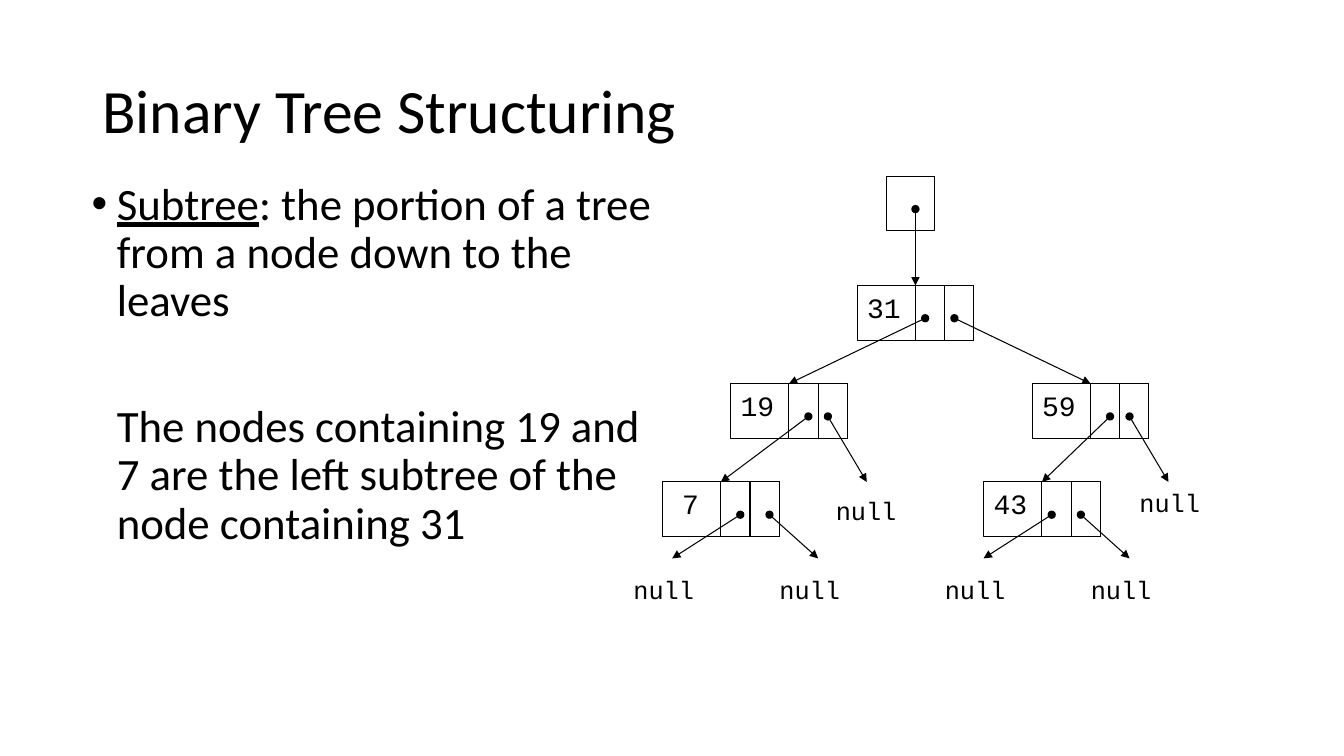
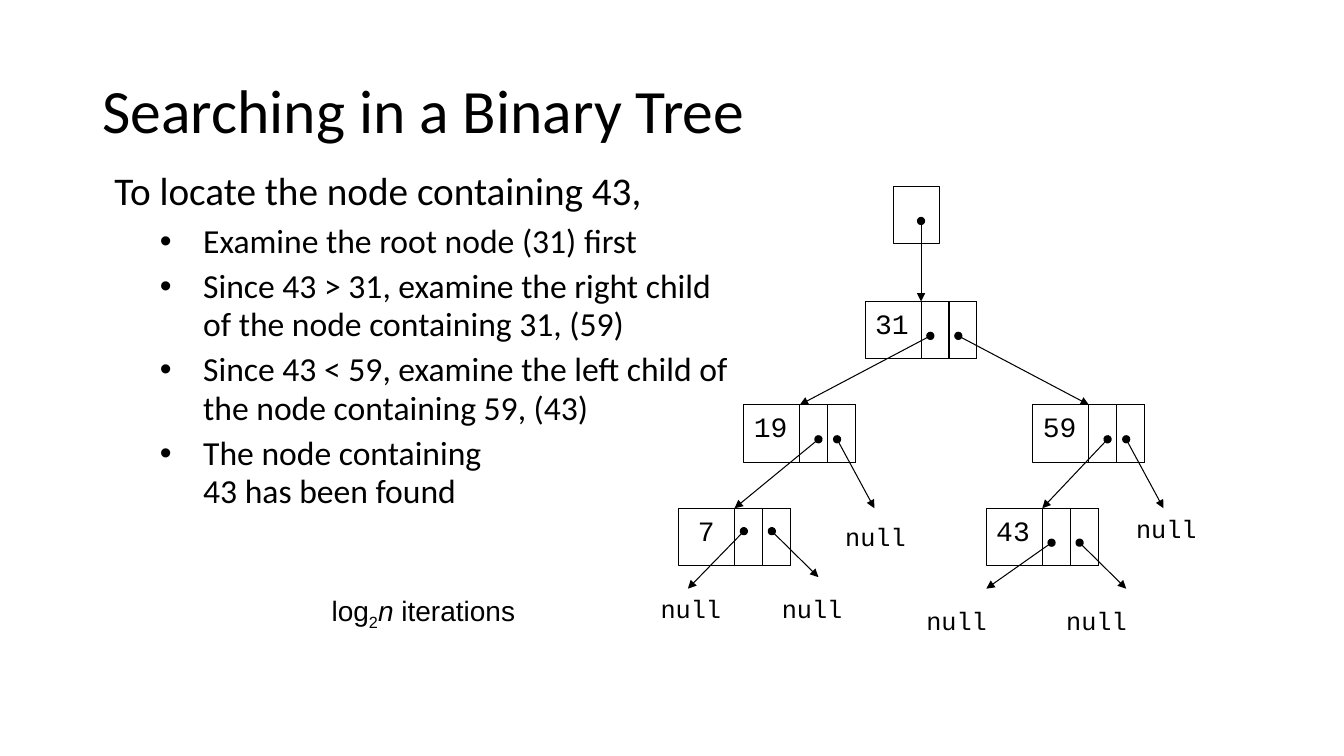
from dataclasses import dataclass
from typing import Optional

from lxml.etree import SubElement
from pptx import Presentation
from pptx.dml.color import RGBColor
from pptx.enum.shapes import MSO_CONNECTOR, MSO_SHAPE
from pptx.enum.text import MSO_ANCHOR
from pptx.oxml.ns import qn
from pptx.util import Inches, Pt

SLIDE_WIDTH, SLIDE_HEIGHT = Inches(13.33), Inches(7.5)
INK = "000000"
BODY_FONT, CODE_FONT, NOTE_FONT = "Calibri", "Courier New", "Arial"
LINE_WIDTH = Pt(0.75)

# Tree grid: a node is 12 columns wide and 5 rows high
GRID_COLUMNS, GRID_ROWS = 52, 35
NODE_COLUMNS, NODE_ROWS = 12, 5
POINTER_COLUMNS, ROOT_COLUMNS = 3, 5


@dataclass(frozen=True)
class Box:
    """A rectangle in percent of the slide's width and height."""
    left: float
    top: float
    width: float
    height: float

    def lengths(self) -> tuple[int, int, int, int]:
        return (int(SLIDE_WIDTH * self.left / 100), int(SLIDE_HEIGHT * self.top / 100),
                int(SLIDE_WIDTH * self.width / 100), int(SLIDE_HEIGHT * self.height / 100))


@dataclass(frozen=True)
class Run:
    text: str
    underline: bool = False
    italic: bool = False
    subscript: bool = False


@dataclass(frozen=True)
class Line:
    """A paragraph; indents are in inches, sizes and gaps in points."""
    runs: tuple[Run, ...]
    size: float
    font: str = BODY_FONT
    margin: float = 0
    hanging: float = 0
    spacing: float = 1
    before: float = 0
    bullet: bool = False


@dataclass(frozen=True)
class Label:
    text: str
    column: float
    row: float
    size: int = 18


@dataclass(frozen=True)
class Node:
    value: str
    column: int
    row: int


@dataclass(frozen=True)
class Arrow:
    """Grid positions of the dot and of the arrowhead."""
    from_column: int
    from_row: int
    to_column: int
    to_row: int


@dataclass(frozen=True)
class Page:
    title: str
    body: Box
    lines: tuple[Line, ...]
    tree: Box
    leaf_arrows: tuple[Arrow, ...]
    leaf_labels: tuple[Label, ...]
    note: Optional[Line] = None


TITLE_BOX = Box(6.88, 5.33, 86.25, 19.33)
NOTE_BOX = Box(23.93, 77.87, 15.98, 5.87)

# Parts of the tree that both slides show
NODES = (Node("31", 20, 10), Node("59", 38, 19), Node("19", 7, 19),
         Node("7", 0, 28), Node("43", 33, 28))
ROOT = Node("", 23, 0)
ARROWS = (
    Arrow(26, 3, 26, 10),
    Arrow(27, 13, 13, 19), Arrow(30, 13, 44, 19),
    Arrow(15, 22, 6, 28), Arrow(17, 22, 21, 28),
    Arrow(46, 22, 39, 28), Arrow(48, 22, 52, 28),
    Arrow(40, 31, 33, 35), Arrow(43, 31, 48, 35),
)
NULL_LABELS = (Label("null", 16.8, 28.75), Label("null", 48, 28))


def color(value: str) -> RGBColor:
    return RGBColor.from_string(value)


def write_line(paragraph, line: Line) -> None:
    properties = paragraph._p.get_or_add_pPr()
    properties.set("marL", str(Inches(line.margin)))
    properties.set("indent", str(-Inches(line.hanging)))
    if line.bullet:
        SubElement(properties, qn("a:buFont")).set("typeface", "Arial")
        SubElement(properties, qn("a:buChar")).set("char", "•")
    paragraph.line_spacing = line.spacing
    paragraph.space_before = Pt(line.before)
    for part in line.runs:
        for index, piece in enumerate(part.text.split("\n")):
            if index:
                paragraph.add_line_break()
            run = paragraph.add_run()
            run.text = piece
            font = run.font
            font.name, font.size = line.font, Pt(line.size)
            font.color.rgb = color(INK)
            font.underline, font.italic = part.underline, part.italic
            if part.subscript:
                run._r.get_or_add_rPr().set("baseline", "-25000")


def add_text(slide, lengths: tuple[int, int, int, int], *lines: Line,
             anchor: MSO_ANCHOR = MSO_ANCHOR.TOP) -> None:
    frame = slide.shapes.add_textbox(*lengths).text_frame
    frame.word_wrap = True
    frame.vertical_anchor = anchor
    for index, line in enumerate(lines):
        write_line(frame.add_paragraph() if index else frame.paragraphs[0], line)


@dataclass(frozen=True)
class Tree:
    """Draws on a grid laid over one area of a slide."""
    slide: object
    area: Box

    def place(self, column: float, row: float, columns: float = 0,
              rows: float = 0) -> tuple[int, int, int, int]:
        left, top, width, height = self.area.lengths()
        return (int(left + width * column / GRID_COLUMNS), int(top + height * row / GRID_ROWS),
                int(width * columns / GRID_COLUMNS), int(height * rows / GRID_ROWS))

    def add_cell(self, column: int, row: int, columns: int) -> None:
        shape = self.slide.shapes.add_shape(
            MSO_SHAPE.RECTANGLE, *self.place(column, row, columns, NODE_ROWS))
        shape.shadow.inherit = False
        shape.fill.background()
        shape.line.color.rgb = color(INK)
        shape.line.width = LINE_WIDTH

    def add_label(self, label: Label) -> None:
        add_text(self.slide, self.place(label.column, label.row, 9.6, NODE_ROWS),
                 Line((Run(label.text),), label.size, font=CODE_FONT))

    def add_node(self, node: Node) -> None:
        self.add_cell(node.column, node.row, NODE_COLUMNS)
        for pointer in (1, 2):
            offset = NODE_COLUMNS - pointer * POINTER_COLUMNS
            self.add_cell(node.column + offset, node.row, POINTER_COLUMNS)
        shift = 1 if len(node.value) == 1 else 0
        self.add_label(Label(node.value, node.column + shift, node.row, 20))

    def add_arrow(self, arrow: Arrow) -> None:
        start = self.place(arrow.from_column, arrow.from_row)[:2]
        end = self.place(arrow.to_column, arrow.to_row)[:2]
        connector = self.slide.shapes.add_connector(MSO_CONNECTOR.STRAIGHT, *start, *end)
        connector.line.color.rgb = color(INK)
        connector.line.width = LINE_WIDTH
        outline = connector.line._get_or_add_ln()
        SubElement(outline, qn("a:headEnd")).set("type", "oval")
        SubElement(outline, qn("a:tailEnd")).set("type", "triangle")
        SubElement(connector._element.spPr, qn("a:effectLst"))


def bullet_step(text: str, before: float = 5) -> Line:
    return Line((Run(text),), 24, margin=1, hanging=0.43, spacing=0.95,
                before=before, bullet=True)


def add_page(presentation, page: Page) -> None:
    slide = presentation.slides.add_slide(presentation.slide_layouts[6])
    # Title and text
    add_text(slide, TITLE_BOX.lengths(), Line((Run(page.title),), 44, spacing=0.9),
             anchor=MSO_ANCHOR.MIDDLE)
    add_text(slide, page.body.lengths(), *page.lines)
    # Tree
    tree = Tree(slide, page.tree)
    tree.add_cell(ROOT.column, ROOT.row, ROOT_COLUMNS)
    for node in NODES:
        tree.add_node(node)
    for arrow in ARROWS + page.leaf_arrows:
        tree.add_arrow(arrow)
    for label in NULL_LABELS + page.leaf_labels:
        tree.add_label(label)
    # Note below the text
    if page.note:
        add_text(slide, NOTE_BOX.lengths(), page.note)


PAGES = (
    Page(
        title="Binary Tree Structuring",
        body=Box(6.08, 23.33, 44.25, 60),
        lines=(
            Line((Run("Subtree", underline=True),
                  Run(": the portion of a tree from a node down to the leaves")),
                 32, margin=0.25, hanging=0.25, spacing=0.9, bullet=True),
            Line((Run("The nodes containing 19 and 7 are the left subtree "
                      "of the node containing 31"),),
                 32, margin=0.25, spacing=0.9, before=55),
        ),
        tree=Box(49.29, 23.33, 37.65, 50.53),
        leaf_arrows=(Arrow(8, 31, 1, 35), Arrow(11, 31, 16, 35)),
        leaf_labels=tuple(Label("null", column, 36) for column in (-4, 11, 28, 43)),
    ),
    Page(
        title="Searching in a Binary Tree",
        body=Box(6.88, 21.73, 48.8, 64.5),
        lines=(
            Line((Run("To locate the node containing 43,"),), 28, margin=0.12, spacing=0.95),
            bullet_step("Examine the root node (31) first", before=6),
            bullet_step("Since 43 > 31, examine the right child of the node containing 31, (59)"),
            bullet_step("Since 43 < 59, examine the left child of the node containing 59, (43)"),
            bullet_step("The node containing\n43 has been found"),
        ),
        tree=Box(50.49, 24.67, 36.08, 53.2),
        leaf_arrows=(Arrow(7, 30, 1, 35), Arrow(10, 30, 15, 34)),
        leaf_labels=(Label("null", -3, 35), Label("null", 10, 35),
                     Label("null", 25.5, 36), Label("null", 40.5, 36)),
        note=Line((Run("log"), Run("2", subscript=True), Run("n", italic=True),
                   Run(" iterations")), 20, font=NOTE_FONT),
    ),
)


def main() -> None:
    presentation = Presentation()
    presentation.slide_width, presentation.slide_height = SLIDE_WIDTH, SLIDE_HEIGHT
    for page in PAGES:
        add_page(presentation, page)
    presentation.save("out.pptx")


if __name__ == "__main__":
    main()
